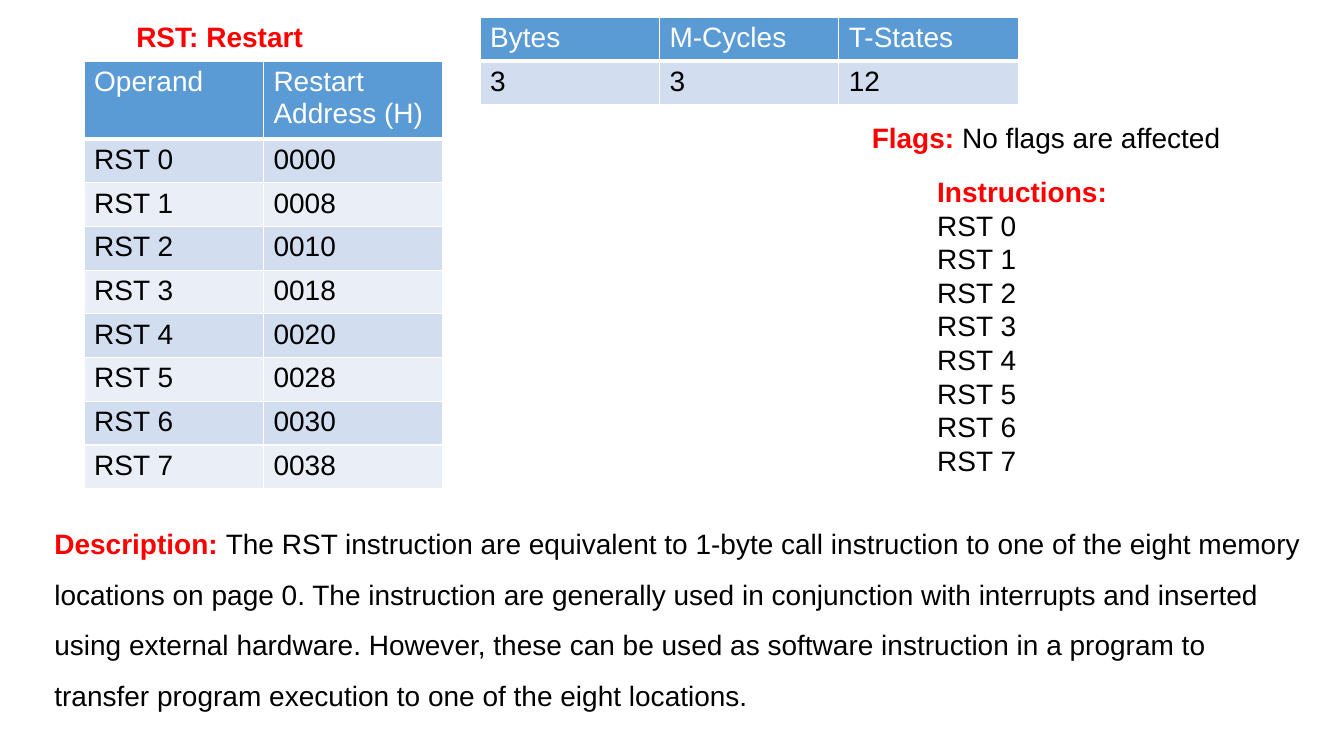
from lxml.etree import SubElement
from pptx import Presentation
from pptx.dml.color import RGBColor
from pptx.enum.text import MSO_ANCHOR as Anchor, MSO_AUTO_SIZE as AutoSize, PP_ALIGN as Align
from pptx.oxml.ns import qn
from pptx.util import Cm, Pt

RED = RGBColor(0xFF, 0x00, 0x00)
BLACK = RGBColor(0x00, 0x00, 0x00)
WHITE = RGBColor(0xFF, 0xFF, 0xFF)
HEADER_BLUE = RGBColor(0x5B, 0x9B, 0xD5)
BAND_DARK = RGBColor(0xD2, 0xDE, 0xEF)
BAND_LIGHT = RGBColor(0xEA, 0xEF, 0xF7)

BASE = {"name": "Arial", "size": Pt(20), "bold": False}
LABEL = {**BASE, "bold": True}

COLUMN_WIDTH = 4.52
ROW_HEIGHT = 1.1
RESTARTS = [f"RST {number}" for number in range(8)]
DESCRIPTION = (
    "The RST instruction are equivalent to 1-byte call instruction to one of the "
    "eight memory locations on page 0. The instruction are generally used in "
    "conjunction with interrupts and inserted using external hardware. However, "
    "these can be used as software instruction in a program to transfer program "
    "execution to one of the eight locations."
)


def add_span(para, text, colour, formats):
    span = para.add_run()
    span.text = text
    for name, value in formats.items():
        setattr(span.font, name, value)
    span.font.color.rgb = colour


def place(box, left, top, width, height):
    box.left, box.top, box.width, box.height = map(Cm, (left, top, width, height))


def add_title(page, text):
    title = page.shapes.title
    place(title, 3.18, 0.36, 22.15, 1.12)
    frame = title.text_frame
    frame.vertical_anchor = Anchor.TOP
    frame.auto_size = AutoSize.NONE
    para = frame.paragraphs[0]
    para.alignment = Align.LEFT
    add_span(para, text, RED, LABEL)


def add_labelled_text(page, area, label, text="", lines=(), wrap=True, spacing=None):
    """Red bold label, followed by text on the same line and lines below it."""
    box = page.shapes.add_textbox(*map(Cm, area))
    frame = box.text_frame
    frame.word_wrap = wrap
    para = frame.paragraphs[0]
    para.line_spacing = spacing
    add_span(para, label, RED, LABEL)
    if text:
        add_span(para, text, BLACK, BASE)
    for line in lines:
        add_span(frame.add_paragraph(), line, BLACK, BASE)


def set_borders(cell, widths):
    properties = cell._tc.get_or_add_tcPr()
    for position, (side, width) in enumerate(widths.items()):
        line = properties.makeelement(qn(f"a:{side}"), {"w": str(Pt(width))})
        fill = SubElement(line, qn("a:solidFill"))
        SubElement(fill, qn("a:srgbClr"), val=str(WHITE))
        properties.insert(position, line)


def add_banded_table(page, left, top, rows, header_height=ROW_HEIGHT):
    columns = len(rows[0])
    height = header_height + ROW_HEIGHT * (len(rows) - 1)
    table = page.shapes.add_table(
        len(rows), columns, Cm(left), Cm(top), Cm(COLUMN_WIDTH * columns), Cm(height)
    ).table
    for column in table.columns:
        column.width = Cm(COLUMN_WIDTH)
    for index, values in enumerate(rows):
        header = index == 0
        table.rows[index].height = Cm(header_height if header else ROW_HEIGHT)
        band = BAND_DARK if index % 2 else BAND_LIGHT
        for cell, text in zip(table.rows[index].cells, values):
            cell.fill.solid()
            cell.fill.fore_color.rgb = HEADER_BLUE if header else band
            set_borders(cell, {
                "lnL": 1, "lnR": 1,
                "lnT": 3 if index == 1 else 1,
                "lnB": 3 if header else 1,
            })
            add_span(cell.text_frame.paragraphs[0], text, WHITE if header else BLACK, BASE)


def main():
    deck = Presentation()
    deck.slide_width, deck.slide_height = Cm(33.87), Cm(19.05)
    page = deck.slides.add_slide(deck.slide_layouts[5])

    add_title(page, "RST: Restart")

    # Flags and instruction list on the right
    add_labelled_text(page, (23.37, 4.27, 6.25, 8.81), "Instructions:", lines=RESTARTS)
    add_labelled_text(page, (21.72, 2.9, 9.35, 1.12), "Flags: ",
                      "No flags are affected", wrap=False)

    # Restart addresses are eight bytes apart
    addresses = [(name, f"{8 * number:04X}") for number, name in enumerate(RESTARTS)]
    add_banded_table(page, 2.12, 1.55, [("Operand", "Restart Address (H)"), *addresses],
                     header_height=1.95)

    # Instruction size and timing
    add_banded_table(page, 12.1, 0.43, [("Bytes", "M-Cycles", "T-States"), ("3", "3", "12")])

    # Description across the bottom
    add_labelled_text(page, (1.12, 12.73, 32.03, 5.38), "Description: ",
                      DESCRIPTION, spacing=1.5)

    deck.save("out.pptx")


if __name__ == "__main__":
    main()
